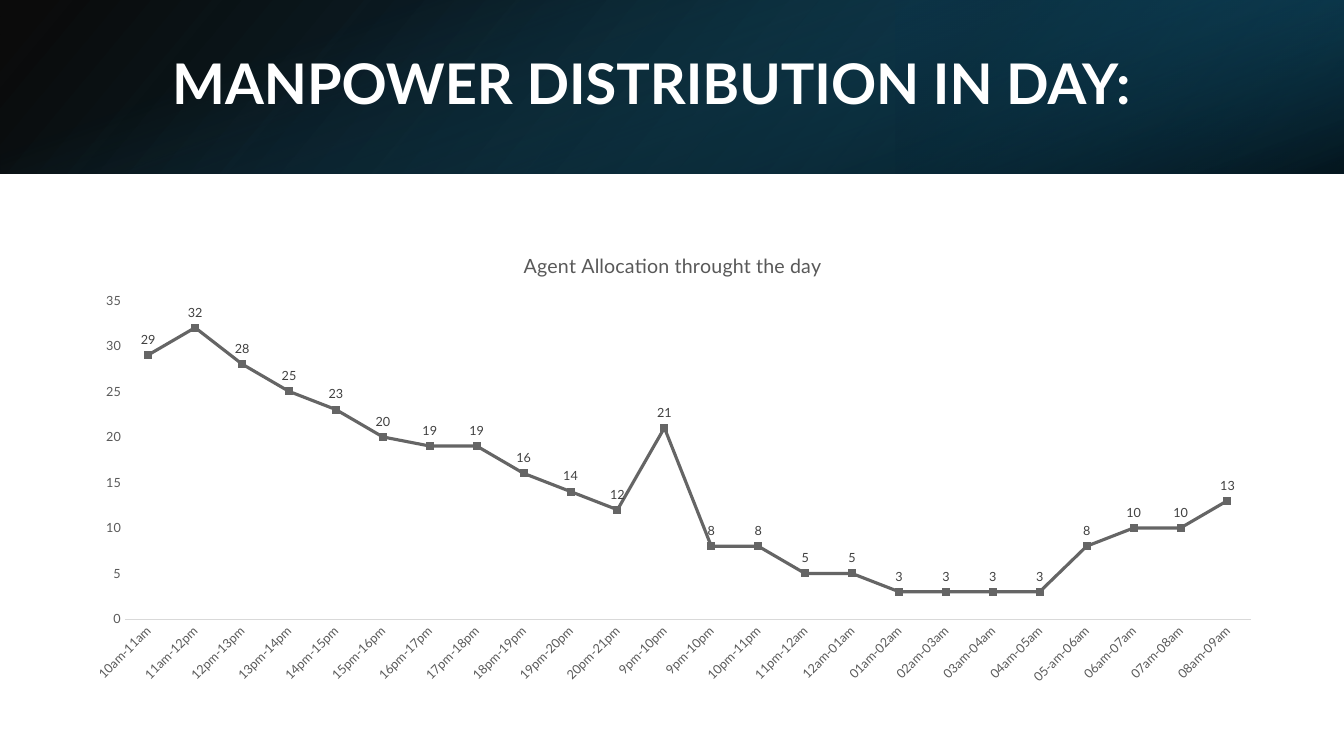
from pptx import Presentation
from pptx.chart.data import CategoryChartData as Data
from pptx.dml.color import RGBColor as RGB
from pptx.enum.chart import XL_CHART_TYPE as Kind, XL_LABEL_POSITION as Spot, XL_TICK_MARK as Tick
from pptx.enum.shapes import MSO_SHAPE as Shape
from pptx.enum.text import MSO_ANCHOR as Anchor
from pptx.oxml import parse_xml
from pptx.oxml.ns import nsdecls, qn
from pptx.util import Pt

FACE = "Lato"
WHITE = RGB(0xFF, 0xFF, 0xFF)
BLACK = RGB(0, 0, 0)
NAVY = RGB(0x10, 0x48, 0x62)
DEEP = RGB(0x0B, 0x30, 0x41)
TEAL = RGB(0x15, 0x60, 0x82)
GREY = RGB(0x59, 0x59, 0x59)
DARK = RGB(0x40, 0x40, 0x40)
LINE = RGB(0x65, 0x65, 0x65)
PALE = RGB(0xD9, 0xD9, 0xD9)

WIDE, HIGH, BAND = 960, 540, 124

HOURS = [
    "10am-11am", "11am-12pm", "12pm-13pm", "13pm-14pm", "14pm-15pm", "15pm-16pm",
    "16pm-17pm", "17pm-18pm", "18pm-19pm", "19pm-20pm", "20pm-21pm", "9pm-10pm",
    "9pm-10pm", "10pm-11pm", "11pm-12am", "12am-01am", "01am-02am", "02am-03am",
    "03am-04am", "04am-05am", "05-am-06am", "06am-07am", "07am-08am", "08am-09am",
]
STAFF = [29, 32, 28, 25, 23, 20, 19, 19, 16, 14, 12, 21,
         8, 8, 5, 5, 3, 3, 3, 3, 8, 10, 10, 13]


def style(font, size, color, bold=False):
    font.name, font.size, font.bold = FACE, Pt(size), bold
    font.color.rgb = color


def layer(slide, box, stops, angle, turn=0, flip=False):
    rect = slide.shapes.add_shape(Shape.RECTANGLE, *map(Pt, box))
    rect.shadow.inherit = False
    rect.line.fill.background()
    rect.rotation = turn
    props = rect._element.spPr
    if flip:
        props.xfrm.set("flipH", "1")
    marks = "".join(
        f'<a:gs pos="{pos * 1000}"><a:srgbClr val="{color}">'
        f'<a:alpha val="{alpha * 1000}"/></a:srgbClr></a:gs>'
        for pos, color, alpha in stops)
    props.find(qn("a:prstGeom")).addnext(parse_xml(
        f'<a:gradFill {nsdecls("a")} rotWithShape="1"><a:gsLst>{marks}</a:gsLst>'
        f'<a:lin ang="{angle * 60000}" scaled="0"/></a:gradFill>'))


def banner(slide, left, top, width, height):
    layer(slide, (left, top, width, height),
          [(0, BLACK, 96), (100, NAVY, 100)], 140, flip=True)
    layer(slide, (left + width * 2 / 3, top, width / 3, height),
          [(19, DEEP, 68), (100, TEAL, 79)], 320, turn=180, flip=True)
    shift = (width - height) / 2
    layer(slide, (left + shift, top - shift, height, width),
          [(23, TEAL, 0), (99, BLACK, 74)], 340, turn=90)

    frame = slide.shapes.add_textbox(
        Pt(left + 108), Pt(top + 27), Pt(790), Pt(69)).text_frame
    frame.word_wrap = True
    frame.vertical_anchor = Anchor.MIDDLE
    frame.margin_left = Pt(15)
    frame.text = "MANPOWER DISTRIBUTION IN DAY:"
    para = frame.paragraphs[0]
    para.line_spacing = 0.9
    style(para.runs[0].font, 40, WHITE, True)


def place(chart, **parts):
    plot = chart._chartSpace.chart.plotArea
    for old in plot.findall(qn("c:layout")):
        plot.remove(old)
    sizes = "".join(f'<c:{key} val="{val}"/>' for key, val in parts.items())
    plot.insert(0, parse_xml(
        f'<c:layout {nsdecls("c")}><c:manualLayout><c:layoutTarget val="inner"/>'
        f'<c:xMode val="edge"/><c:yMode val="edge"/>{sizes}'
        '</c:manualLayout></c:layout>'))


def graph(slide, left, top, width, height):
    data = Data(number_format="0")
    data.categories = HOURS
    data.add_series("Series 1", STAFF)
    chart = slide.shapes.add_chart(
        Kind.LINE, Pt(left), Pt(top), Pt(width), Pt(height), data).chart
    style(chart.font, 10, BLACK)
    chart.has_legend = False
    chart.has_title = True
    title = chart.chart_title
    title.include_in_layout = False
    title.text_frame.text = "Agent Allocation throught the day"
    style(title.text_frame.paragraphs[0].runs[0].font, 14, GREY)
    place(chart, x=0.045, y=0.146, w=0.935, h=0.689)

    for axis in (chart.category_axis, chart.value_axis):
        axis.major_tick_mark = axis.minor_tick_mark = Tick.NONE
        axis.has_major_gridlines = False
        style(axis.tick_labels.font, 9, GREY)
    base, scale = chart.category_axis, chart.value_axis
    base.format.line.color.rgb = PALE
    base.format.line.width = Pt(0.75)
    base.tick_labels.font._element.getparent().getparent().getparent().find(
        qn("a:bodyPr")).set("rot", "-2700000")
    scale.format.line.fill.background()
    scale.minimum_scale, scale.maximum_scale, scale.major_unit = 0, 35, 5
    scale.tick_labels.number_format = "0"
    scale.tick_labels.number_format_is_linked = False

    plot = chart.plots[0]
    plot.vary_by_categories = False
    plot.has_data_labels = True
    labels = plot.data_labels
    labels.show_value = True
    labels.position = Spot.ABOVE
    labels.number_format = "0"
    labels.number_format_is_linked = False
    style(labels.font, 9, DARK)
    trend = plot.series[0]
    trend.smooth = False
    trend.marker.style = None
    trend.format.line.color.rgb = LINE
    trend.format.line.width = Pt(2.25)


def main():
    deck = Presentation()
    deck.slide_width, deck.slide_height = Pt(WIDE), Pt(HIGH)
    slide = deck.slides.add_slide(deck.slide_layouts[6])
    banner(slide, 0, 0, WIDE, BAND)
    graph(slide, 50.4, 166.3, 860.4, 330.5)
    deck.save("out.pptx")


if __name__ == "__main__":
    main()
